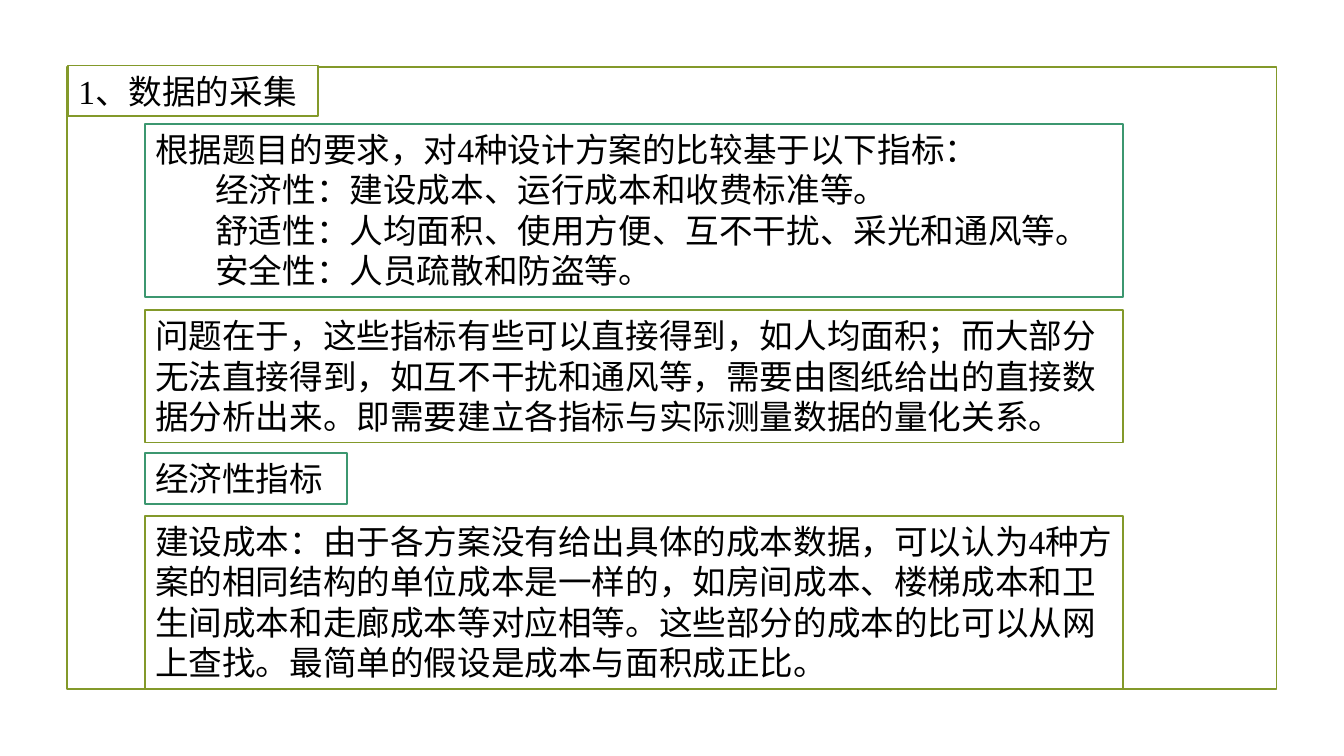
from pptx import Presentation
from pptx.dml.color import RGBColor
from pptx.enum.shapes import MSO_SHAPE
from pptx.enum.text import MSO_ANCHOR, MSO_AUTO_SIZE, PP_ALIGN
from pptx.util import Pt

RECTANGLE = MSO_SHAPE.RECTANGLE
TOP = MSO_ANCHOR.TOP
GROW = MSO_AUTO_SIZE.SHAPE_TO_FIT_TEXT
LEFT, JUSTIFY = PP_ALIGN.LEFT, PP_ALIGN.JUSTIFY

OLIVE, GREEN, WHITE, BLACK = "83992A", "3C9770", "FFFFFF", "000000"
FONT_NAME = "Times New Roman"
FONT_SIZE = 24
CRITERIA_INDENT = 43
BODY_LEFT, BODY_WIDTH = 103.7, 698.4

CRITERIA_LINES = [
    "根据题目的要求，对4种设计方案的比较基于以下指标：",
    "经济性：建设成本、运行成本和收费标准等。",
    "舒适性：人均面积、使用方便、互不干扰、采光和通风等。",
    "安全性：人员疏散和防盗等。",
]
PROBLEM = (
    "问题在于，这些指标有些可以直接得到，如人均面积；而大部分无法直接得到，"
    "如互不干扰和通风等，需要由图纸给出的直接数据分析出来。"
    "即需要建立各指标与实际测量数据的量化关系。"
)
CONSTRUCTION_COST = (
    "建设成本：由于各方案没有给出具体的成本数据，可以认为4种方案的相同结构的单位成本是一样的，"
    "如房间成本、楼梯成本和卫生间成本和走廊成本等对应相等。"
    "这些部分的成本的比可以从网上查找。最简单的假设是成本与面积成正比。"
)


def color(hex_string):
    """Turn a hex string into a colour."""
    return RGBColor.from_string(hex_string)


def set_outline(shape, line_color):
    """Give a shape the slide's standard outline."""
    shape.line.color.rgb = color(line_color)
    shape.line.width = Pt(1.25)


def add_frame(slide, left, top, width, height):
    """Add the unfilled frame around the content."""
    frame = slide.shapes.add_shape(RECTANGLE, Pt(left), Pt(top), Pt(width), Pt(height))
    frame.shadow.inherit = False
    frame.fill.background()
    set_outline(frame, OLIVE)


def add_text_panel(slide, left, top, width, height, line_color, lines, alignment=LEFT):
    """Add an outlined text box, indenting every paragraph after the first."""
    panel = slide.shapes.add_textbox(Pt(left), Pt(top), Pt(width), Pt(height))
    panel.fill.solid()
    panel.fill.fore_color.rgb = color(WHITE)
    set_outline(panel, line_color)
    text_frame = panel.text_frame
    text_frame.word_wrap = True
    text_frame.auto_size = GROW
    text_frame.vertical_anchor = TOP
    text_frame.text = "\n".join(lines)
    for index, paragraph in enumerate(text_frame.paragraphs):
        paragraph.alignment = alignment
        if index:
            paragraph._p.get_or_add_pPr().set("marL", str(Pt(CRITERIA_INDENT)))
        paragraph.font.name = FONT_NAME
        paragraph.font.size = Pt(FONT_SIZE)
        paragraph.font.color.rgb = color(BLACK)


def main():
    """Build the slide on data collection and save it."""
    presentation = Presentation()
    presentation.slide_width, presentation.slide_height = Pt(960), Pt(540)
    slide = presentation.slides.add_slide(presentation.slide_layouts[6])

    add_frame(slide, 47.8, 48, 864, 444)
    add_text_panel(slide, 48.8, 46.8, 178.6, 36.3, OLIVE, ["1、数据的采集"])
    add_text_panel(slide, BODY_LEFT, 88.5, BODY_WIDTH, 123.7, GREEN, CRITERIA_LINES, JUSTIFY)
    add_text_panel(slide, BODY_LEFT, 221.6, BODY_WIDTH, 94.5, OLIVE, [PROBLEM])
    add_text_panel(slide, BODY_LEFT, 323.5, 144, 36.3, GREEN, ["经济性指标"])
    add_text_panel(slide, BODY_LEFT, 368.5, BODY_WIDTH, 123.7, OLIVE, [CONSTRUCTION_COST])
    presentation.save("out.pptx")


if __name__ == "__main__":
    main()
